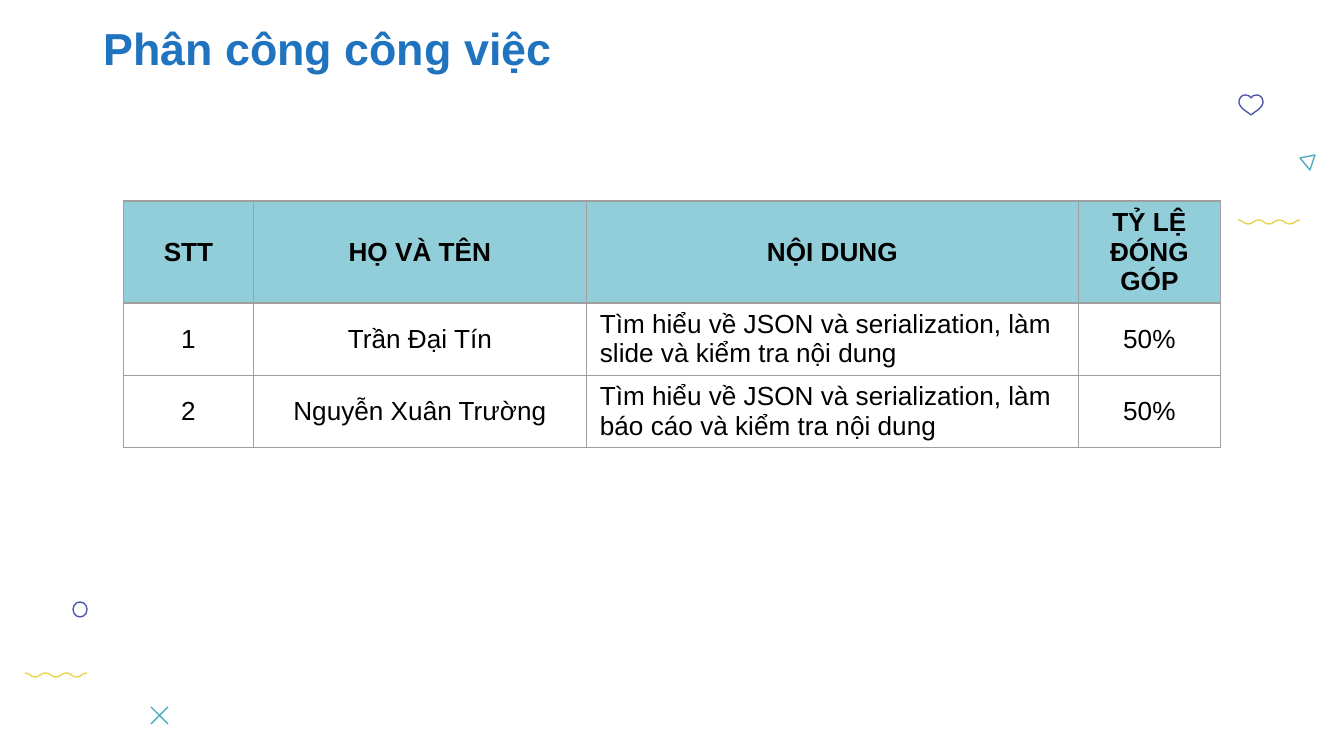
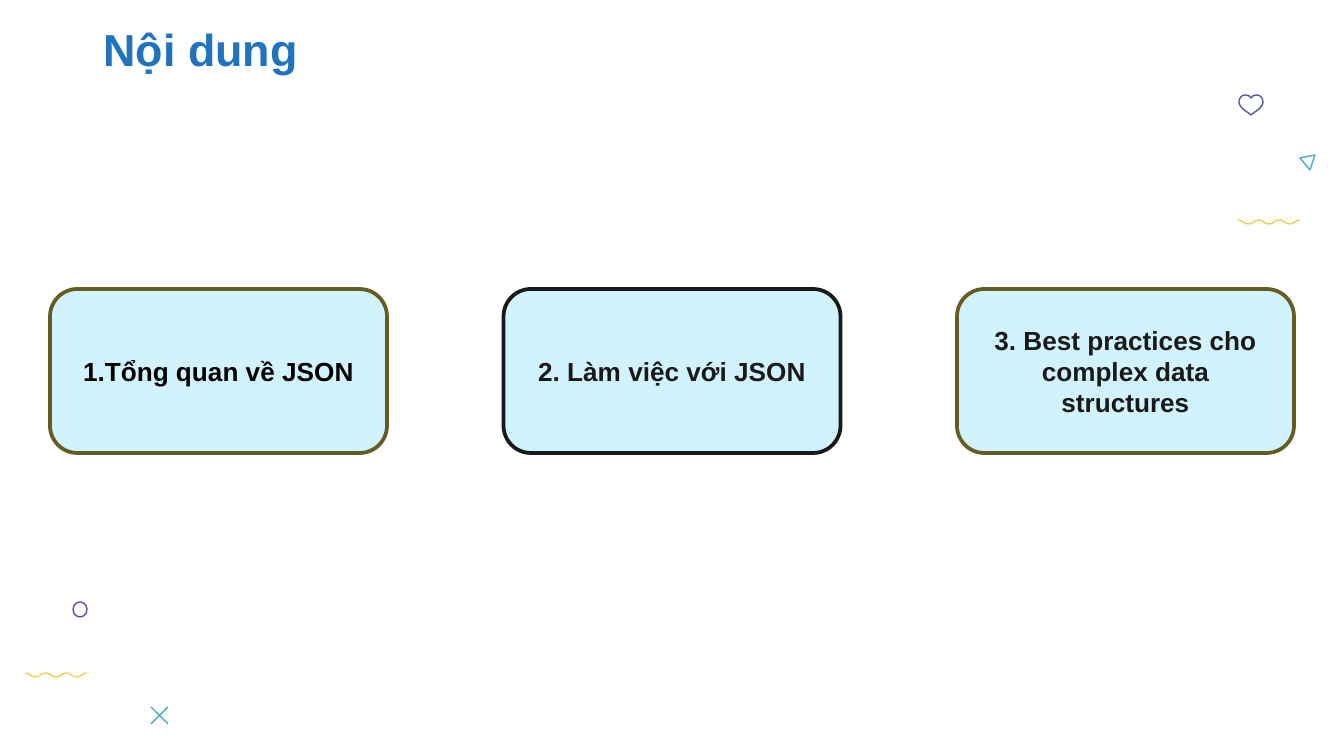
from lxml.etree import SubElement
from pptx import Presentation
from pptx.dml.color import RGBColor
from pptx.enum.shapes import MSO_CONNECTOR, MSO_SHAPE
from pptx.enum.text import MSO_ANCHOR, PP_ALIGN
from pptx.oxml.ns import qn
from pptx.util import Pt

SLIDE_WIDTH, SLIDE_HEIGHT = 1344, 756
EMU_PER_PX = 9144000 / SLIDE_WIDTH
FONT = "Arial"
TITLE_BLUE, BLACK, INK = "2073BE", "000000", "191919"
TEAL, YELLOW, VIOLET = "4AAEBF", "E8D24F", "4F55AB"
HEADER_FILL, GRID_GREY = "92CED9", "9E9E9E"
BOX_FILL, OLIVE = "D1F3FD", "665C23"


def px(length):
    return round(length * EMU_PER_PX)


def format_text(frame, size, color, bold, align):
    """Format every paragraph of a frame and centre the text vertically."""
    frame.word_wrap = True
    frame.vertical_anchor = MSO_ANCHOR.MIDDLE
    for para in frame.paragraphs:
        para.alignment = align
        for span in para.runs:
            span.font.name = FONT
            span.font.size = Pt(size)
            span.font.bold = bold
            span.font.color.rgb = RGBColor.from_string(color)


deck = Presentation()
deck.slide_width, deck.slide_height = px(SLIDE_WIDTH), px(SLIDE_HEIGHT)

# Shared layout: only the title placeholder stays
layout = deck.slide_layouts[5]
for holder in list(layout.placeholders):
    if holder.placeholder_format.idx:
        holder.element.getparent().remove(holder.element)

pages = []
for text, top in (("Phân công công việc", 0), ("Nội dung", 1)):
    page = deck.slides.add_slide(layout)
    title = page.shapes.title
    title.left, title.top, title.width, title.height = px(90), px(top), px(735), px(95)
    title.text_frame.text = text
    format_text(title.text_frame, 24, TITLE_BLUE, True, PP_ALIGN.LEFT)
    pages.append(page)
work_page, contents_page = pages

# Outlines of the small ornaments: after the straight points, each three
# points are the two handles and the end of a curve
wave = [(0, 0)]
for half in range(6):
    start, end = half * 62 / 6, (half + 1) * 62 / 6
    low, high = (0, 4) if half % 2 == 0 else (4, 0)
    wave += [((start + end) / 2, low), ((start + end) / 2, high), (end, high)]
half_heart = [(0, 20), (-4, 17), (-12, 12), (-12, 8), (-12, 7), (-12, 3), (-9, 0),
              (-6, 0), (-3, 0), (-1, 1), (0, 3)]
heart = half_heart + [(-x, y) for x, y in half_heart[-2:0:-1]]
triangle = [(15, 0), (0, 3), (10, 15)]

ornaments = []
for top, bottom in ((707, 724), (724, 707)):
    stroke = work_page.shapes.add_connector(
        MSO_CONNECTOR.STRAIGHT, px(151), px(top), px(168), px(bottom))
    stroke.line.color.rgb = RGBColor.from_string(TEAL)
    stroke.line.width = Pt(0.75)
    SubElement(stroke.element.spPr, qn("a:effectLst"))
    ornaments.append(stroke)

outlines = [
    (work_page.shapes.add_shape(MSO_SHAPE.OVAL, px(73), px(602), px(14), px(15)), VIOLET)
]
for points, left, top, color, closed, straight in (
    (wave, 25, 673, YELLOW, False, 0),
    (triangle, 1300, 155, TEAL, True, 3),
    (heart, 1251, 95, VIOLET, True, 1),
    (wave, 1238, 220, YELLOW, False, 0),
):
    corners = [(px(left + x), px(top + y)) for x, y in points]
    builder = work_page.shapes.build_freeform(*corners[0])
    builder.add_line_segments(corners[1:], close=closed)
    shape = builder.convert_to_shape()
    segments = list(shape.element.iter(qn("a:lnTo")))[straight:]
    for first, second, last in zip(segments[::3], segments[1::3], segments[2::3]):
        curve = SubElement(first.getparent(), qn("a:cubicBezTo"))
        first.addprevious(curve)
        for segment in (first, second, last):
            curve.append(segment[0])
            segment.getparent().remove(segment)
    outlines.append((shape, color))
for shape, color in outlines:
    shape.shadow.inherit = False
    shape.fill.background()
    shape.line.color.rgb = RGBColor.from_string(color)
    shape.line.width = Pt(0.75)
    ornaments.append(shape)

# The ornaments belong to the layout, so every page shows them
for shape in ornaments:
    layout.shapes.element.append(shape.element)

# Work table
rows = [
    ("STT", "HỌ VÀ TÊN", "NỘI DUNG", "TỶ LỆ ĐÓNG GÓP"),
    ("1", "Trần Đại Tín",
     "Tìm hiểu về JSON và serialization, làm slide và kiểm tra nội dung", "50%"),
    ("2", "Nguyễn Xuân Trường",
     "Tìm hiểu về JSON và serialization, làm báo cáo và kiểm tra nội dung", "50%"),
]
column_widths, row_heights = (130, 333, 492, 142), (102, 72, 72)
table = work_page.shapes.add_table(
    len(rows), len(column_widths), px(123.5), px(201),
    px(sum(column_widths)), px(sum(row_heights))).table
table.horz_banding = False
for column, width in zip(table.columns, column_widths):
    column.width = px(width)
for row, height in zip(table.rows, row_heights):
    row.height = px(height)
for row_index, row in enumerate(rows):
    header = row_index == 0
    for column_index, text in enumerate(row):
        cell = table.cell(row_index, column_index)
        cell.text_frame.text = text
        left_aligned = column_index == 2 and not header
        format_text(cell.text_frame, 14, BLACK, header,
                    PP_ALIGN.LEFT if left_aligned else PP_ALIGN.CENTER)
        cell.vertical_anchor = MSO_ANCHOR.MIDDLE
        properties = cell._tc.get_or_add_tcPr()
        for side in ("a:lnL", "a:lnR", "a:lnT", "a:lnB"):
            border = SubElement(properties, qn(side), w=str(Pt(0.75)))
            fill = SubElement(border, qn("a:solidFill"))
            SubElement(fill, qn("a:srgbClr"), val=GRID_GREY)
        if header:
            cell.fill.solid()
            cell.fill.fore_color.rgb = RGBColor.from_string(HEADER_FILL)
        else:
            cell.fill.background()

# Contents boxes, spread evenly between equal margins
box_margin, box_width = 50, 337
box_step = (SLIDE_WIDTH - 2 * box_margin - box_width) / 2
for index, (text, text_color, line_color) in enumerate((
    ("1.Tổng quan về JSON", BLACK, OLIVE),
    ("2. Làm việc với JSON", INK, INK),
    ("3. Best practices cho complex data structures", INK, OLIVE),
)):
    box = contents_page.shapes.add_shape(
        MSO_SHAPE.ROUNDED_RECTANGLE, px(box_margin + index * box_step), px(289),
        px(box_width), px(164))
    box.shadow.inherit = False
    box.fill.solid()
    box.fill.fore_color.rgb = RGBColor.from_string(BOX_FILL)
    box.line.color.rgb = RGBColor.from_string(line_color)
    box.line.width = Pt(2)
    box.text_frame.text = text
    format_text(box.text_frame, 14, text_color, True, PP_ALIGN.CENTER)

deck.save("out.pptx")
